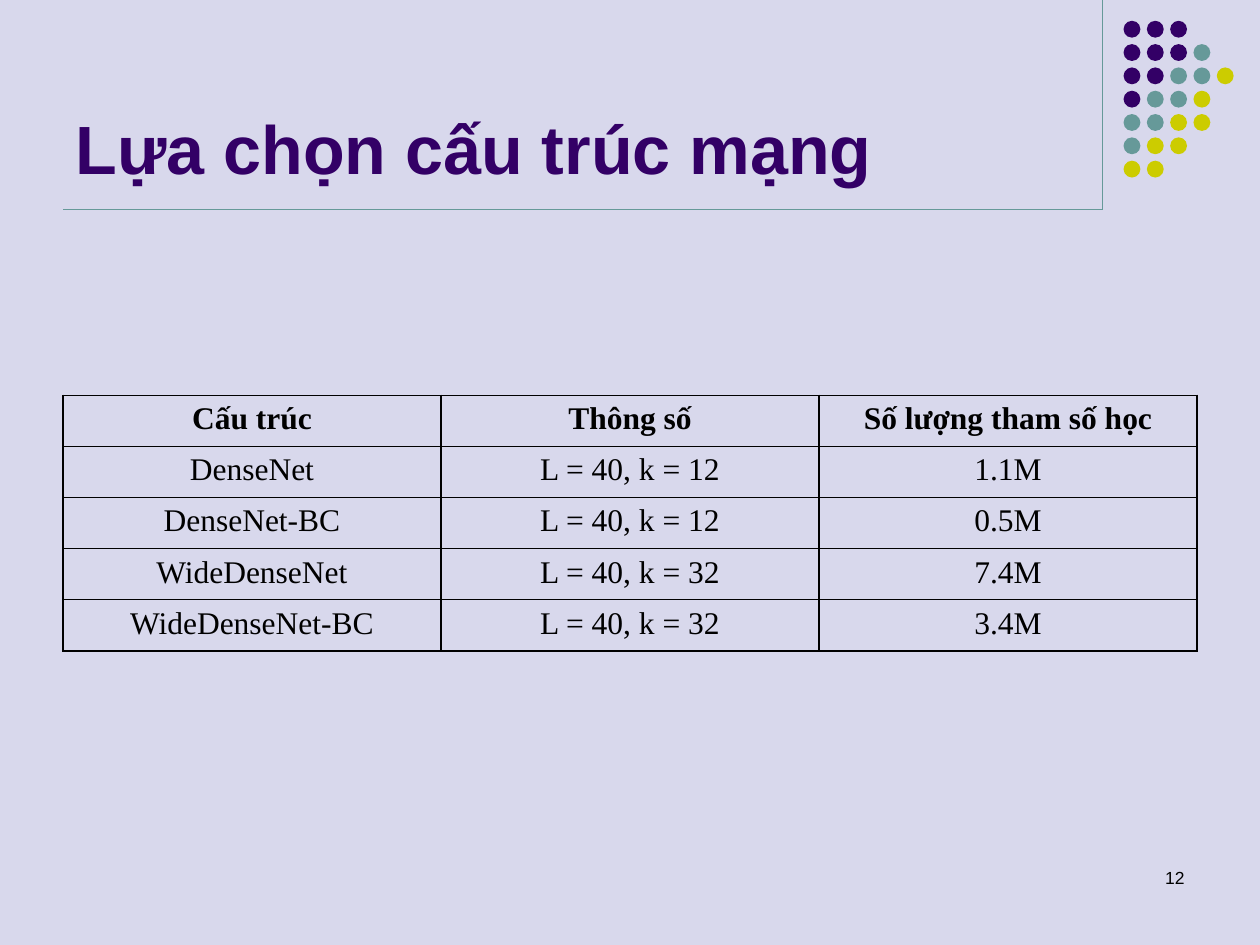
"""Build a slide with a table comparing DenseNet network structures."""
from lxml.etree import SubElement
from pptx import Presentation
from pptx.dml.color import RGBColor
from pptx.enum.shapes import MSO_CONNECTOR, MSO_SHAPE
from pptx.enum.text import MSO_ANCHOR, MSO_AUTO_SIZE, PP_ALIGN
from pptx.oxml import parse_xml
from pptx.oxml.ns import nsdecls, qn
from pptx.util import Cm, Pt

BACKGROUND = RGBColor(0xD8, 0xD8, 0xEC)
PURPLE = RGBColor(0x33, 0x00, 0x66)
TEAL = RGBColor(0x66, 0x99, 0x99)
YELLOW = RGBColor(0xCC, 0xCC, 0x00)
BLACK = RGBColor(0x00, 0x00, 0x00)

TITLE = "Lựa chọn cấu trúc mạng"
SLIDE_NUMBER = "12"
ROWS = [
    ("Cấu trúc", "Thông số", "Số lượng tham số học"),
    ("DenseNet", "L = 40, k = 12", "1.1M"),
    ("DenseNet-BC", "L = 40, k = 12", "0.5M"),
    ("WideDenseNet", "L = 40, k = 32", "7.4M"),
    ("WideDenseNet-BC", "L = 40, k = 32", "3.4M"),
]
DOT_ROWS = ["PPP", "PPPT", "PPTTY", "PTTY", "TTYY", "TYY", "YY"]
DOT_COLORS = {"P": PURPLE, "T": TEAL, "Y": YELLOW}
DOT_LEFT, DOT_TOP, DOT_SIZE, DOT_PITCH = 22.65, 0.42, 0.34, 0.47
RULES = [(22.23, 0, 22.23, 4.23), (1.27, 4.23, 22.23, 4.23)]
COLUMN_WIDTH, ROW_HEIGHT = 7.62, 1.03


def format_text(text_frame, text, font_name, size, color, bold, alignment):
    text_frame.text = text
    paragraph = text_frame.paragraphs[0]
    paragraph.alignment = alignment
    font = paragraph.runs[0].font
    font.name, font.size, font.bold = font_name, Pt(size), bold
    font.color.rgb = color


def add_rules(slide):
    for ends in RULES:
        rule = slide.shapes.add_connector(MSO_CONNECTOR.STRAIGHT, *map(Cm, ends))
        rule.line.color.rgb = TEAL
        rule.line.width = Pt(0.75)
        SubElement(rule.element.spPr, qn("a:effectLst"))


def add_dots(slide):
    for row, letters in enumerate(DOT_ROWS):
        for column, letter in enumerate(letters):
            dot = slide.shapes.add_shape(
                MSO_SHAPE.OVAL, Cm(DOT_LEFT + column * DOT_PITCH),
                Cm(DOT_TOP + row * DOT_PITCH), Cm(DOT_SIZE), Cm(DOT_SIZE))
            dot.shadow.inherit = False
            dot.fill.solid()
            dot.fill.fore_color.rgb = DOT_COLORS[letter]
            dot.line.fill.background()


def add_title(slide):
    title = slide.shapes.title
    title.left, title.top, title.width, title.height = map(Cm, (1.27, 0.33, 20.96, 3.6))
    title.text_frame.vertical_anchor = MSO_ANCHOR.BOTTOM
    title.text_frame.auto_size = MSO_AUTO_SIZE.NONE
    format_text(title.text_frame, TITLE, "Arial", 39, PURPLE, True, PP_ALIGN.LEFT)


def set_borders(cell):
    properties = cell._tc.get_or_add_tcPr()
    for index, side in enumerate(("lnL", "lnR", "lnT", "lnB")):
        properties.insert(index, parse_xml(
            f'<a:{side} {nsdecls("a")} w="{Pt(1)}"><a:solidFill>'
            f'<a:srgbClr val="{BLACK}"/></a:solidFill></a:{side}>'))


def add_structure_table(slide):
    row_count, column_count = len(ROWS), len(ROWS[0])
    table = slide.shapes.add_table(
        row_count, column_count, Cm(1.27), Cm(7.97),
        Cm(COLUMN_WIDTH * column_count), Cm(ROW_HEIGHT * row_count)).table
    for row, values in enumerate(ROWS):
        for column, value in enumerate(values):
            cell = table.cell(row, column)
            cell.fill.background()
            set_borders(cell)
            format_text(cell.text_frame, value, "Times New Roman", 18, BLACK,
                        row == 0, PP_ALIGN.CENTER)


def add_slide_number(slide):
    box = slide.shapes.add_textbox(Cm(18.2), Cm(17.36), Cm(5.93), Cm(1.27))
    box.text_frame.word_wrap = True
    format_text(box.text_frame, SLIDE_NUMBER, "Arial", 10, BLACK, False, PP_ALIGN.RIGHT)


def main():
    presentation = Presentation()
    presentation.slide_width, presentation.slide_height = Cm(25.4), Cm(19.05)
    slide = presentation.slides.add_slide(presentation.slide_layouts[5])
    slide.background.fill.solid()
    slide.background.fill.fore_color.rgb = BACKGROUND
    add_rules(slide)
    add_dots(slide)
    add_title(slide)
    add_structure_table(slide)
    add_slide_number(slide)
    presentation.save("out.pptx")


if __name__ == "__main__":
    main()
